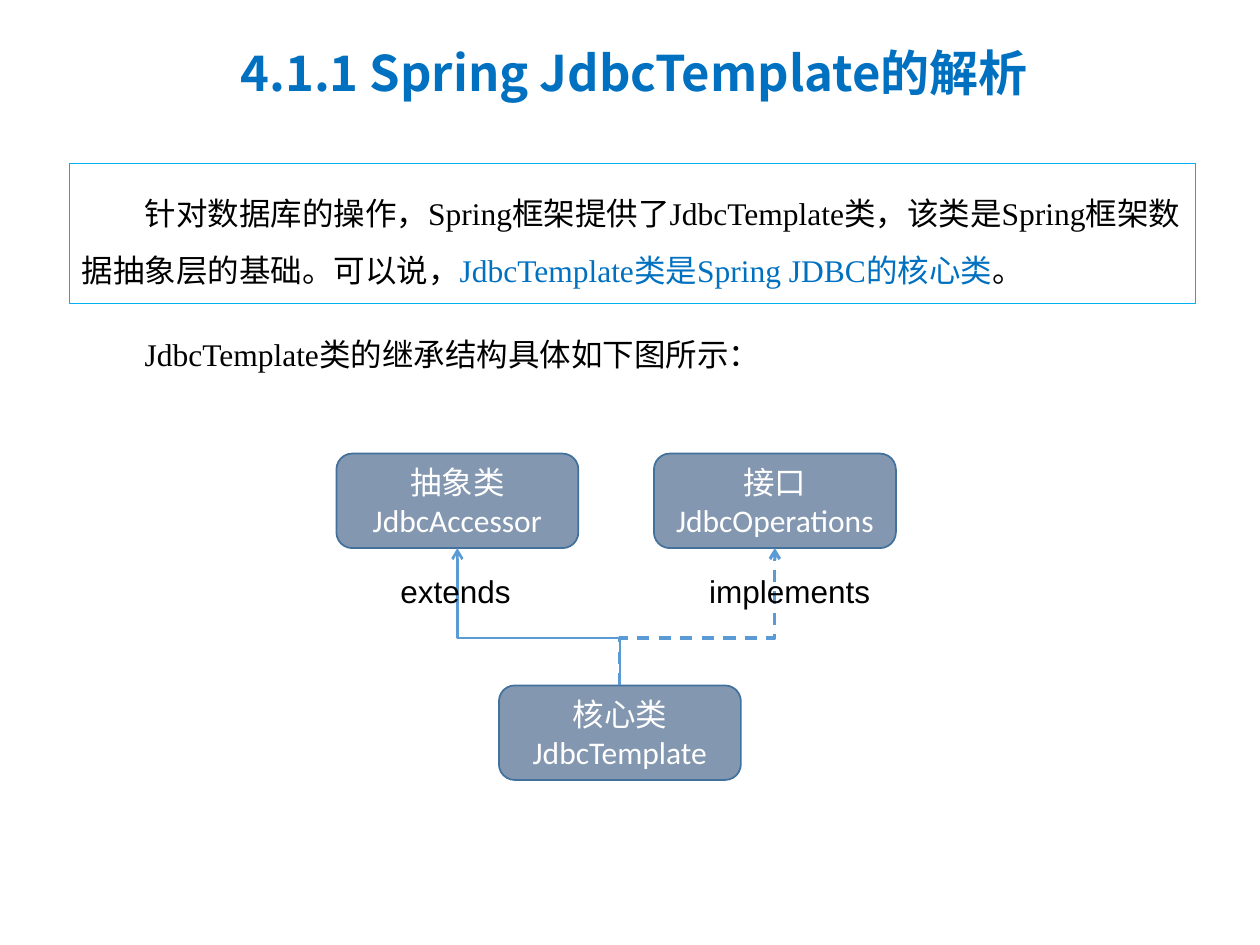
from lxml.etree import SubElement
from pptx import Presentation
from pptx.dml.color import RGBColor
from pptx.enum.dml import MSO_LINE
from pptx.enum.shapes import MSO_CONNECTOR, MSO_SHAPE
from pptx.enum.text import MSO_ANCHOR, PP_ALIGN
from pptx.oxml.ns import qn
from pptx.util import Inches, Pt

BLACK = RGBColor(0x00, 0x00, 0x00)
WHITE = RGBColor(0xFF, 0xFF, 0xFF)
TITLE_BLUE = RGBColor(0x00, 0x70, 0xC0)
FRAME_BLUE = RGBColor(0x00, 0xB0, 0xF0)
BOX_FILL = RGBColor(0x84, 0x97, 0xB0)
BOX_LINE = RGBColor(0x41, 0x71, 0x9C)
ARROW_BLUE = RGBColor(0x5B, 0x9B, 0xD5)
CHINESE_FONT = "Noto Sans CJK SC"

TITLE = "4.1.1 Spring JdbcTemplate的解析"
INTRODUCTION = [
    ("针对数据库的操作，Spring框架提供了JdbcTemplate类，该类是Spring框架数据抽象层的基础。可以说，", BLACK),
    ("JdbcTemplate类是Spring JDBC的核心类", TITLE_BLUE),
    ("。", BLACK),
]
CAPTION = [("JdbcTemplate类的继承结构具体如下图所示：", BLACK)]

BODY_LEFT, BODY_WIDTH, BODY_INDENT = 0.55, 8.94, 0.5
BOX_WIDTH, BOX_HEIGHT = 1.92, 0.75
PARENT_TOP, CHILD_TOP = 3.6, 5.44
CHILD_CENTER = 4.92
CHILD_LINES = ["核心类", "JdbcTemplate"]
PARENTS = [
    {"center": 6.15, "text": "接口JdbcOperations", "label": "implements",
     "label_left": 5.53, "label_width": 1.71, "weight": 1.75, "dash": MSO_LINE.DASH},
    {"center": 3.63, "text": "抽象类JdbcAccessor", "label": "extends",
     "label_left": 3.08, "label_width": 1.14, "weight": 1.5, "dash": None},
]
BEND = 34500


def style_paragraph(paragraph, runs, font_name, size=18, bold=False):
    paragraph.font.name = font_name
    paragraph.font.size = Pt(size)
    paragraph.font.bold = bold
    for text, color in runs:
        run = paragraph.add_run()
        run.text = text
        run.font.name = font_name
        run.font.color.rgb = color
        SubElement(run.font._element, qn("a:ea"), typeface=CHINESE_FONT)


def add_text(slide, left, top, width, height, runs, font_name, size=18,
             bold=False, indent=0, spacing=1.0):
    frame = slide.shapes.add_textbox(
        Inches(left), Inches(top), Inches(width), Inches(height)).text_frame
    frame.word_wrap = True
    paragraph = frame.paragraphs[0]
    paragraph.line_spacing = spacing
    if indent:
        paragraph._p.get_or_add_pPr().set("indent", str(Inches(indent)))
    style_paragraph(paragraph, runs, font_name, size, bold)


def add_shape(slide, kind, left, top, width, height, fill, line, weight):
    shape = slide.shapes.add_shape(
        kind, Inches(left), Inches(top), Inches(width), Inches(height))
    shape.shadow.inherit = False
    shape.fill.solid()
    shape.fill.fore_color.rgb = fill
    shape.line.color.rgb = line
    shape.line.width = Pt(weight)
    return shape


def add_class_box(slide, center, top, lines):
    shape = add_shape(slide, MSO_SHAPE.ROUNDED_RECTANGLE, center - BOX_WIDTH / 2,
                      top, BOX_WIDTH, BOX_HEIGHT, BOX_FILL, BOX_LINE, 1)
    frame = shape.text_frame
    frame.word_wrap = True
    frame.vertical_anchor = MSO_ANCHOR.MIDDLE
    for index, text in enumerate(lines):
        paragraph = frame.add_paragraph() if index else frame.paragraphs[0]
        paragraph.alignment = PP_ALIGN.CENTER
        style_paragraph(paragraph, [(text, WHITE)], "Calibri")


def add_inheritance_arrow(slide, target, weight, dash):
    bottom = PARENT_TOP + BOX_HEIGHT
    side = 1 if target > CHILD_CENTER else -1
    half_rise = (CHILD_TOP - bottom) / 2
    half_span = abs(target - CHILD_CENTER) / 2
    middle_x, middle_y = (target + CHILD_CENTER) / 2, (CHILD_TOP + bottom) / 2
    connector = slide.shapes.add_connector(
        MSO_CONNECTOR.ELBOW,
        Inches(middle_x + side * half_rise), Inches(middle_y + half_span),
        Inches(middle_x - side * half_rise), Inches(middle_y - half_span))
    connector.line.color.rgb = ARROW_BLUE
    connector.line.width = Pt(weight)
    if dash:
        connector.line.dash_style = dash
    properties = connector._element.spPr
    quarter_turn = 90 if side > 0 else 270
    properties.find(qn("a:xfrm")).set("rot", str(quarter_turn * 60000))
    adjustments = properties.find(qn("a:prstGeom")).find(qn("a:avLst"))
    SubElement(adjustments, qn("a:gd"), name="adj1", fmla=f"val {BEND}")
    SubElement(properties.find(qn("a:ln")), qn("a:tailEnd"), type="arrow")
    SubElement(properties, qn("a:effectLst"))


def main():
    presentation = Presentation()
    presentation.slide_width = Inches(10)
    presentation.slide_height = Inches(7.5)
    slide = presentation.slides.add_slide(presentation.slide_layouts[6])

    add_text(slide, 1.81, 0.34, 7.5, 0.85, [(TITLE, TITLE_BLUE)], CHINESE_FONT,
             size=28, bold=True, spacing=0.9)
    add_shape(slide, MSO_SHAPE.RECTANGLE, BODY_LEFT, 1.3, BODY_WIDTH, 1.11,
              WHITE, FRAME_BLUE, 0.75)
    add_text(slide, BODY_LEFT, 1.34, BODY_WIDTH, 1, INTRODUCTION,
             "Times New Roman", indent=BODY_INDENT, spacing=1.5)
    add_text(slide, BODY_LEFT, 2.61, BODY_WIDTH, 0.4, CAPTION,
             "Times New Roman", indent=BODY_INDENT)

    add_class_box(slide, CHILD_CENTER, CHILD_TOP, CHILD_LINES)
    for parent in PARENTS:
        add_class_box(slide, parent["center"], PARENT_TOP, [parent["text"]])
        add_inheritance_arrow(slide, parent["center"], parent["weight"], parent["dash"])
        add_text(slide, parent["label_left"], 4.49, parent["label_width"], 0.4,
                 [(parent["label"], BLACK)], "Arial")

    presentation.save("out.pptx")


if __name__ == "__main__":
    main()
